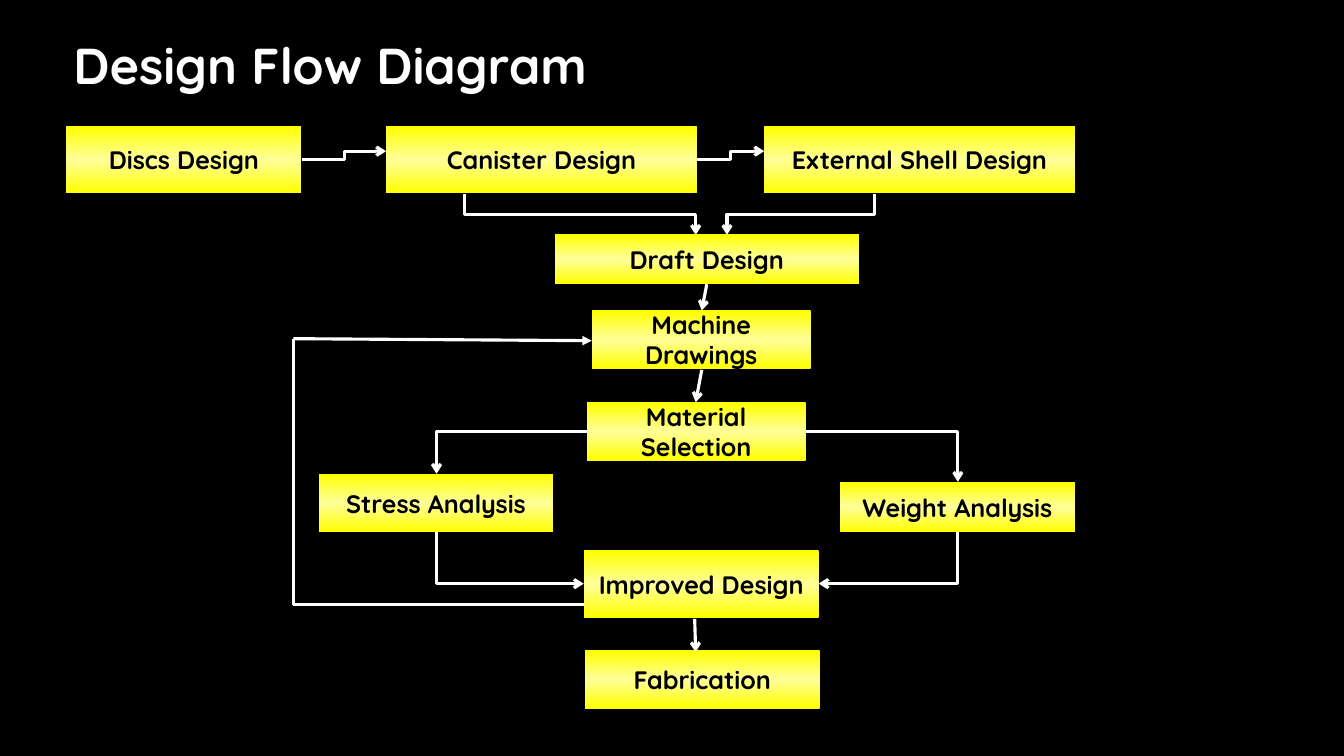
from copy import deepcopy

from pptx import Presentation
from pptx.dml.color import RGBColor
from pptx.enum.shapes import MSO_CONNECTOR, MSO_SHAPE
from pptx.enum.text import MSO_ANCHOR, PP_ALIGN
from pptx.oxml.ns import qn
from pptx.oxml.xmlchemy import OxmlElement
from pptx.util import Inches, Pt

STRAIGHT, ELBOW = MSO_CONNECTOR.STRAIGHT, MSO_CONNECTOR.ELBOW
RECTANGLE = MSO_SHAPE.RECTANGLE
LEFT, CENTER = PP_ALIGN.LEFT, PP_ALIGN.CENTER
MIDDLE, BOTTOM = MSO_ANCHOR.MIDDLE, MSO_ANCHOR.BOTTOM

FONT = "Quicksand"
BLACK, WHITE = "000000", "FFFFFF"
YELLOW, PALE_YELLOW = "FFFF00", "FFFF99"

# text, left, top, width, height
STEPS = [
    ("Discs Design", 0.66, 1.25, 2.33, 0.67),
    ("Canister Design", 3.83, 1.25, 3.08, 0.67),
    ("External Shell Design", 7.58, 1.25, 3.08, 0.67),
    ("Draft Design", 5.5, 2.32, 3.02, 0.5),
    ("Machine Drawings", 5.87, 3.08, 2.17, 0.58),
    ("Material Selection", 5.82, 3.99, 2.17, 0.58),
    ("Stress Analysis", 3.16, 4.7, 2.33, 0.58),
    ("Weight Analysis", 8.33, 4.78, 2.33, 0.5),
    ("Improved Design", 5.79, 5.46, 2.33, 0.67),
    ("Fabrication", 5.8, 6.45, 2.33, 0.58),
]

# start, end
STRAIGHT_ARROWS = [
    ((7.01, 2.82), (6.96, 3.08)),
    ((6.96, 3.67), (6.9, 3.99)),
    ((6.89, 6.14), (6.9, 6.47)),
]

# start, end, number of bends, whether the first leg runs downwards
ELBOW_ARROWS = [
    ((3, 1.58), (3.83, 1.5), 2, False),
    ((6.91, 1.58), (7.58, 1.5), 2, False),
    ((4.61, 1.92), (6.9, 2.33), 2, True),
    ((8.67, 1.92), (7.21, 2.33), 2, True),
    ((5.82, 4.28), (4.33, 4.7), 1, False),
    ((7.99, 4.28), (9.5, 4.78), 1, False),
    ((4.33, 5.28), (5.79, 5.79), 1, True),
    ((9.5, 5.28), (8.12, 5.79), 1, True),
]

FEEDBACK_PATH = [(5.79, 6), (2.91, 6), (2.91, 3.36), (5.87, 3.38)]


def color(hex_string):
    return RGBColor.from_string(hex_string)


def write_text(shape, text, size, font_color, align=LEFT, anchor=MIDDLE, line_spacing=1.0):
    frame = shape.text_frame
    frame.word_wrap = True
    frame.vertical_anchor = anchor
    paragraph = frame.paragraphs[0]
    paragraph.text = text
    paragraph.alignment = align
    paragraph.line_spacing = line_spacing
    font = paragraph.font
    font.name, font.size, font.bold = FONT, Pt(size), True
    font.color.rgb = color(font_color)


def fill_with_glow(shape):
    """Fill with a vertical gradient that is palest halfway down."""
    fill = shape.fill
    fill.gradient()
    fill.gradient_angle = 90
    first_stop = shape._element.spPr.find(".//" + qn("a:gs"))
    first_stop.addnext(deepcopy(first_stop))
    stops = zip(fill.gradient_stops, (0, 0.5, 1), (YELLOW, PALE_YELLOW, YELLOW))
    for stop, position, stop_color in stops:
        stop.position = position
        stop.color.rgb = color(stop_color)


def add_step(slide, text, left, top, width, height):
    shape = slide.shapes.add_shape(
        RECTANGLE, Inches(left), Inches(top), Inches(width), Inches(height))
    shape.shadow.inherit = False
    shape.line.fill.background()
    fill_with_glow(shape)
    write_text(shape, text, 18, BLACK, align=CENTER)


def add_line(slide, start, end, kind=STRAIGHT, arrowhead=None):
    connector = slide.shapes.add_connector(
        kind, *(Inches(value) for value in (*start, *end)))
    connector.line.color.rgb = color(WHITE)
    connector.line.width = Pt(2.25)
    properties = connector._element.spPr
    if arrowhead:
        tail = OxmlElement("a:tailEnd")
        tail.set("type", arrowhead)
        properties.find(qn("a:ln")).append(tail)
    properties.append(OxmlElement("a:effectLst"))
    return connector


def add_elbow_arrow(slide, start, end, bends, downwards):
    """Downward elbows are laid out sideways, then turned a quarter clockwise."""
    if downwards:
        center_x, center_y = (start[0] + end[0]) / 2, (start[1] + end[1]) / 2
        half_x, half_y = (end[0] - start[0]) / 2, (end[1] - start[1]) / 2
        start = (center_x - half_y, center_y + half_x)
        end = (center_x + half_y, center_y - half_x)
    connector = add_line(slide, start, end, ELBOW, "arrow")
    properties = connector._element.spPr
    properties.find(qn("a:prstGeom")).set("prst", f"bentConnector{bends + 1}")
    if downwards:
        properties.find(qn("a:xfrm")).set("rot", str(90 * 60000))


def add_title(slide, text):
    title = slide.shapes.add_textbox(Inches(0.63), Inches(0.17), Inches(10), Inches(0.83))
    write_text(title, text, 36, WHITE, anchor=BOTTOM, line_spacing=0.9)


def main():
    presentation = Presentation()
    presentation.slide_width = Inches(13.33)
    presentation.slide_height = Inches(7.5)
    slide = presentation.slides.add_slide(presentation.slide_layouts[6])
    slide.background.fill.solid()
    slide.background.fill.fore_color.rgb = color(BLACK)

    add_title(slide, "Design Flow Diagram")
    for step in STEPS:
        add_step(slide, *step)
    for start, end in STRAIGHT_ARROWS:
        add_line(slide, start, end, arrowhead="arrow")
    for elbow in ELBOW_ARROWS:
        add_elbow_arrow(slide, *elbow)
    for start, end in zip(FEEDBACK_PATH, FEEDBACK_PATH[1:]):
        arrowhead = "triangle" if end == FEEDBACK_PATH[-1] else None
        add_line(slide, start, end, arrowhead=arrowhead)

    presentation.save("out.pptx")


if __name__ == "__main__":
    main()
